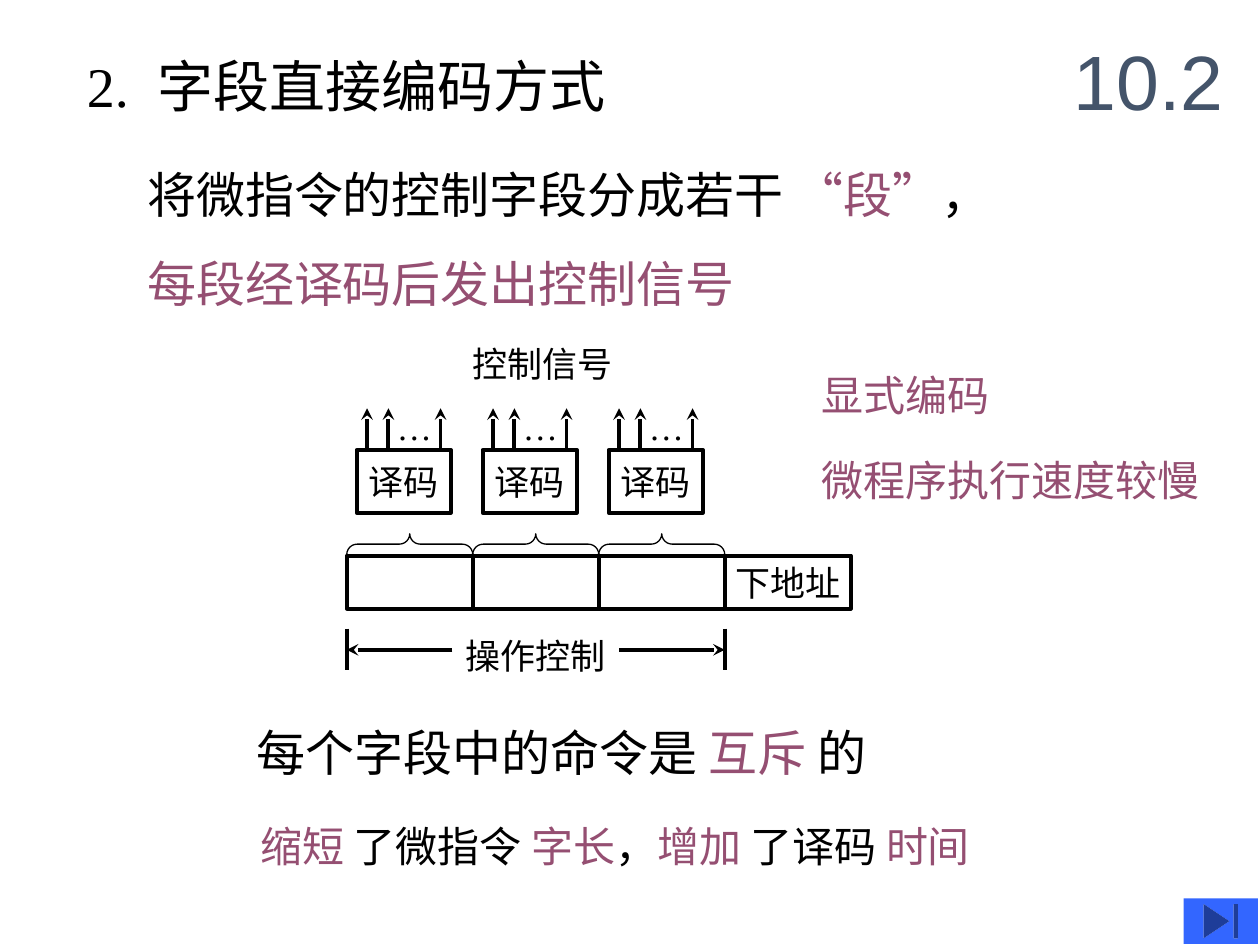
from lxml.etree import SubElement
from pptx import Presentation
from pptx.dml.color import RGBColor
from pptx.enum.shapes import MSO_CONNECTOR as Link, MSO_SHAPE as Shape
from pptx.enum.text import MSO_ANCHOR as Anchor, MSO_AUTO_SIZE as Fit, PP_ALIGN as Align
from pptx.oxml.ns import qn
from pptx.util import Cm, Pt

COLORS = {"black": "000000", "plum": "954F72", "slate": "44546A", "blue": "3366FF"}
SERIF, SANS, ARIAL = "Times New Roman", "DejaVu Sans", "Arial"

HEADING = {"at": (1.5, 0.91, 20, 1.63), "size": 32, "tab": 1.42,
           "lines": [[("2.\t", "black", SERIF), ("字段直接编码方式", "black", SANS)]]}
TEXTS = [
    {"at": (2.72, 3.18, 21.2, 3.25), "size": 28, "before": 17.5, "lines": [
        [("将微指令的控制字段分成若干 ", "black", SANS), ("“", "plum", ARIAL),
         ("段", "plum", SANS), ("”", "plum", ARIAL), ("，", "black", SANS)],
        [("每段经译码后发出控制信号", "plum", SANS)]]},
    {"at": (4.93, 14.43, 14.6, 1.45), "size": 28, "lines": [
        [("每个字段中的命令是 ", "black", SANS), ("互斥 ", "plum", SANS), ("的", "black", SANS)]]},
    {"at": (5, 16.41, 14.81, 1.27), "size": 24, "wrap": False, "lines": [
        [("缩短 ", "plum", SERIF), ("了微指令 ", "black", SERIF), ("字长", "plum", SERIF),
         ("，", "black", SERIF), ("增加 ", "plum", SERIF), ("了译码 ", "black", SERIF),
         ("时间", "plum", SERIF)]]},
    {"at": (16.31, 9.04, 8.13, 1.27), "size": 24, "wrap": False,
     "lines": [[("微程序执行速度较慢", "plum", SERIF)]]},
    {"at": (16.31, 7.32, 6, 1.27), "size": 24, "lines": [[("显式编码", "plum", SERIF)]]},
    {"at": (21.39, 0.43, 4.01, 2.34), "size": 44, "anchor": Anchor.MIDDLE,
     "lines": [[("10.2", "slate", ARIAL)]]},
    {"at": (9.14, 12.67, 3.33, 1.12), "size": 20, "wrap": False,
     "lines": [[("操作控制", "black", SERIF)]]},
    {"at": (9.27, 6.78, 3.33, 1.12), "size": 20, "wrap": False,
     "lines": [[("控制信号", "black", SERIF)]]},
]
FIELDS = ["", "", "", "下地址"]
FIELD_LEFT, FIELD_TOP, FIELD_WIDTH, FIELD_HEIGHT = 6.99, 11.2, 2.54, 1.07
DECODER_TOP, DECODER_WIDTH, DECODER_HEIGHT = 9.07, 1.9, 1.27
SIGNAL_OFFSETS, SIGNAL_TOP = (0.21, 0.64, 1.69), 8.23
BRACE_DEPTH, BRACE_MIDDLE = 0.42, 10.97
SPAN_TOP, SPAN_MIDDLE, SPAN_BOTTOM, SPAN_ARROW = 12.67, 13.1, 13.51, 2.13


def color(name):
    return RGBColor.from_string(COLORS[name])


def apply(target, values):
    for name, value in values.items():
        setattr(target, name, value)


def place(shape, at):
    apply(shape, dict(zip(("left", "top", "width", "height"), map(Cm, at))))


def write(shape, lines, size, before=0, wrap=True, anchor=Anchor.TOP, align=Align.LEFT, tab=None):
    frame = shape.text_frame
    apply(frame, {"word_wrap": wrap, "auto_size": Fit.NONE, "vertical_anchor": anchor,
                  "margin_left": Cm(0.25), "margin_right": Cm(0.25),
                  "margin_top": Cm(0.13), "margin_bottom": Cm(0.13)})
    for index, line in enumerate(lines):
        para = frame.add_paragraph() if index else frame.paragraphs[0]
        apply(para, {"alignment": align, "line_spacing": 1.0,
                     "space_before": Pt(before if index else 0)})
        if tab:
            stops = SubElement(para._p.get_or_add_pPr(), qn("a:tabLst"))
            SubElement(stops, qn("a:tab"), pos=str(Cm(tab)), algn="l")
        for text, shade, font in line:
            span = para.add_run()
            span.text = text
            apply(span.font, {"size": Pt(size), "name": font})
            span.font.color.rgb = color(shade)


def add_text(page, at, **style):
    write(page.shapes.add_textbox(*map(Cm, at)), **style)


def add_outline(page, kind, at, weight, label=""):
    shape = page.shapes.add_shape(kind, *map(Cm, at))
    shape.shadow.inherit = False
    shape.fill.background()
    shape.line.color.rgb = color("black")
    shape.line.width = Pt(weight)
    if label:
        write(shape, [[(label, "black", SERIF)]], 20, wrap=False,
              anchor=Anchor.MIDDLE, align=Align.CENTER)
    return shape


def add_line(page, start, end, arrow=False):
    line = page.shapes.add_connector(Link.STRAIGHT, *map(Cm, (*start, *end)))
    line.line.color.rgb = color("black")
    line.line.width = Pt(2.25)
    if arrow:
        SubElement(line.line._get_or_add_ln(), qn("a:tailEnd"), type="stealth")
    SubElement(line._element.spPr, qn("a:effectLst"))


def add_decoder(page, field_left):
    left = field_left + 0.2
    add_outline(page, Shape.RECTANGLE, (left, DECODER_TOP, DECODER_WIDTH, DECODER_HEIGHT), 2.25, "译码")
    for offset in SIGNAL_OFFSETS:
        add_line(page, (left + offset, DECODER_TOP), (left + offset, SIGNAL_TOP), arrow=True)
    add_text(page, (left + 0.56, 8.05, 1.22, 1.12), size=20, wrap=False,
             lines=[[("…", "black", SERIF)]])
    brace = add_outline(page, Shape.LEFT_BRACE, (
        field_left + (FIELD_WIDTH - BRACE_DEPTH) / 2, BRACE_MIDDLE - FIELD_WIDTH / 2,
        BRACE_DEPTH, FIELD_WIDTH), 0.75)
    brace.rotation = 90
    brace.adjustments[0] = 0.5


def add_diagram(page):
    for index, label in enumerate(FIELDS):
        left = FIELD_LEFT + index * FIELD_WIDTH
        add_outline(page, Shape.RECTANGLE, (left, FIELD_TOP, FIELD_WIDTH, FIELD_HEIGHT), 2.25, label)
        if not label:
            add_decoder(page, left)
    right = FIELD_LEFT + FIELDS.count("") * FIELD_WIDTH
    for edge, inward in ((FIELD_LEFT, SPAN_ARROW), (right, -SPAN_ARROW)):
        add_line(page, (edge, SPAN_TOP), (edge, SPAN_BOTTOM))
        add_line(page, (edge + inward, SPAN_MIDDLE), (edge, SPAN_MIDDLE), arrow=True)


def main():
    """Build the slide on direct field encoding of microinstructions."""
    deck = Presentation()
    apply(deck, {"slide_width": Cm(25.4), "slide_height": Cm(19.05)})
    page = deck.slides.add_slide(deck.slide_layouts[5])
    place(page.shapes.title, HEADING["at"])
    write(page.shapes.title, **{key: value for key, value in HEADING.items() if key != "at"})
    add_diagram(page)
    for text in TEXTS:
        add_text(page, **text)
    button = page.shapes.add_shape(Shape.ACTION_BUTTON_END, *map(Cm, (23.86, 18.11, 1.5, 0.92)))
    button.shadow.inherit = False
    button.fill.solid()
    button.fill.fore_color.rgb = color("blue")
    button.line.fill.background()
    deck.save("out.pptx")


if __name__ == "__main__":
    main()
